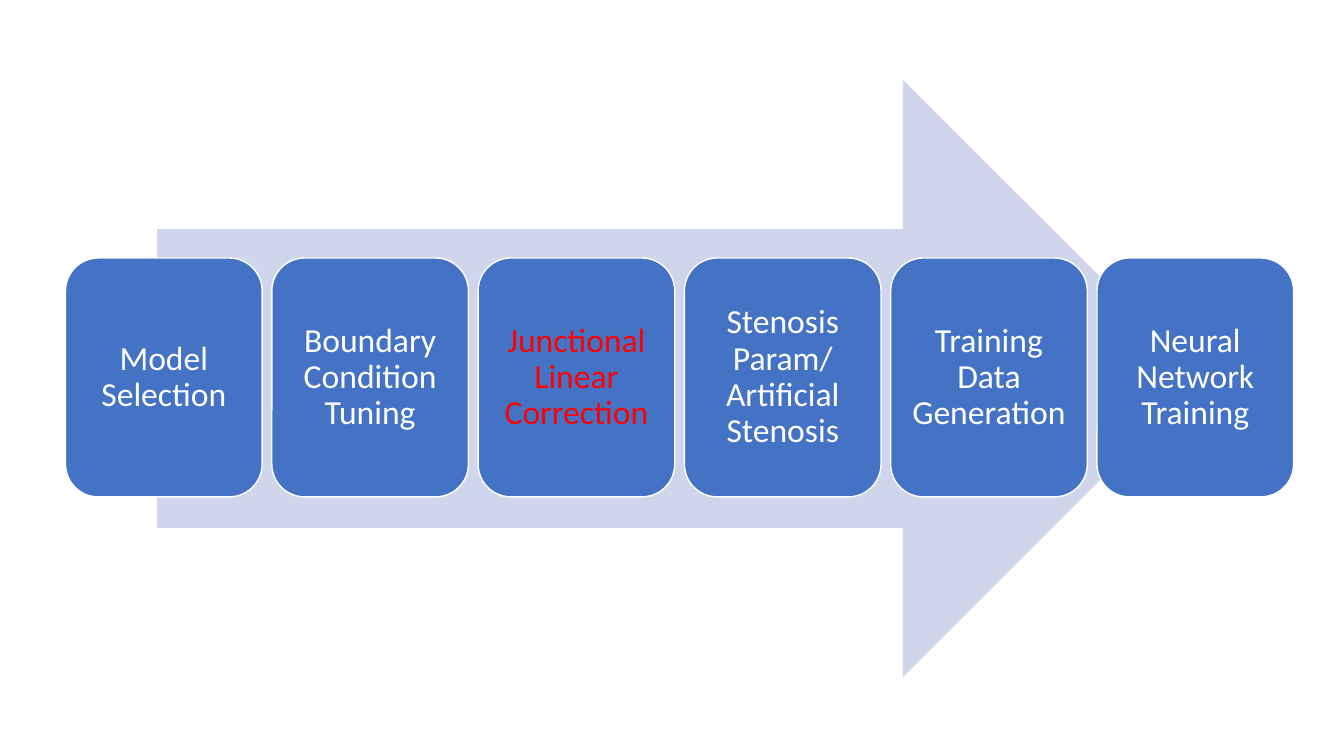
"""Build a slide showing six modelling steps along a broad arrow."""
from pptx import Presentation
from pptx.dml.color import RGBColor
from pptx.enum.shapes import MSO_SHAPE
from pptx.enum.text import MSO_ANCHOR, PP_ALIGN
from pptx.util import Inches, Pt

ARROW = MSO_SHAPE.RIGHT_ARROW
ROUNDED = MSO_SHAPE.ROUNDED_RECTANGLE
MIDDLE = MSO_ANCHOR.MIDDLE
CENTER = PP_ALIGN.CENTER

WHITE = "FFFFFF"
RED = "FF0000"
STEPS = [
    ("Model Selection", WHITE),
    ("Boundary Condition Tuning", WHITE),
    ("Junctional Linear Correction", RED),
    ("Stenosis Param/ Artificial Stenosis", WHITE),
    ("Training Data Generation", WHITE),
    ("Neural Network Training", WHITE),
]
FIRST_LEFT = 0.65
STEP_WIDTH = 1.95
STEP_PITCH = 2.046


def color(hex_code):
    return RGBColor.from_string(hex_code)


def add_filled(kind, left, top, width, height, fill):
    shape = slide.shapes.add_shape(
        kind, Inches(left), Inches(top), Inches(width), Inches(height))
    shape.shadow.inherit = False
    shape.fill.solid()
    shape.fill.fore_color.rgb = color(fill)
    return shape


prs = Presentation()
prs.slide_width = Inches(13.33)
prs.slide_height = Inches(7.5)
slide = prs.slides.add_slide(prs.slide_layouts[6])

process_arrow = add_filled(ARROW, 1.56, 0.79, 10.36, 5.93, "CFD5EA")
process_arrow.line.fill.background()

for index, (label, label_color) in enumerate(STEPS):
    step = add_filled(ROUNDED, FIRST_LEFT + index * STEP_PITCH, 2.56,
                      STEP_WIDTH, 2.37, "4472C4")
    step.line.color.rgb = color(WHITE)
    step.line.width = Pt(1)

    frame = step.text_frame
    frame.word_wrap = True
    frame.vertical_anchor = MIDDLE
    frame.margin_left = frame.margin_right = Inches(0.09)
    frame.margin_top = frame.margin_bottom = Inches(0.09)
    frame.text = label

    paragraph = frame.paragraphs[0]
    paragraph.alignment = CENTER
    paragraph.line_spacing = 0.9
    paragraph.font.name = "Calibri"
    paragraph.font.size = Pt(24)
    paragraph.font.color.rgb = color(label_color)

prs.save("out.pptx")
